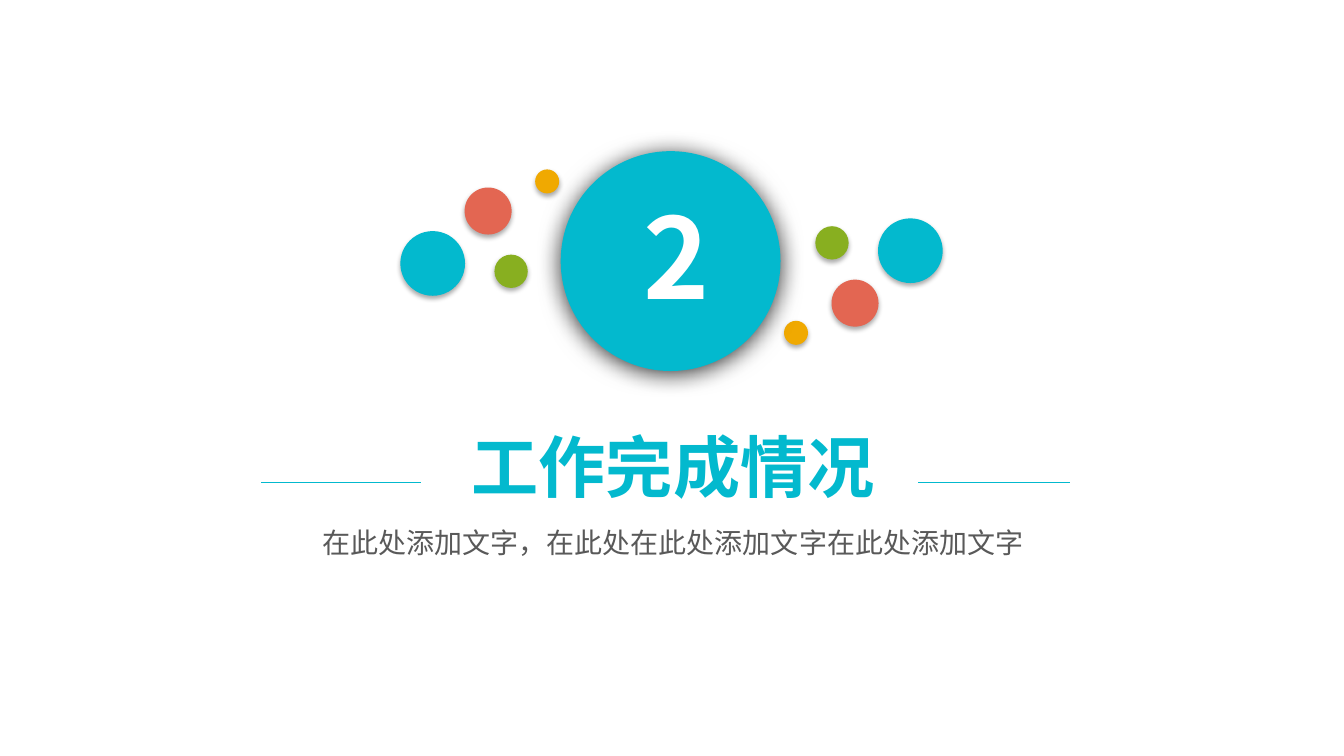
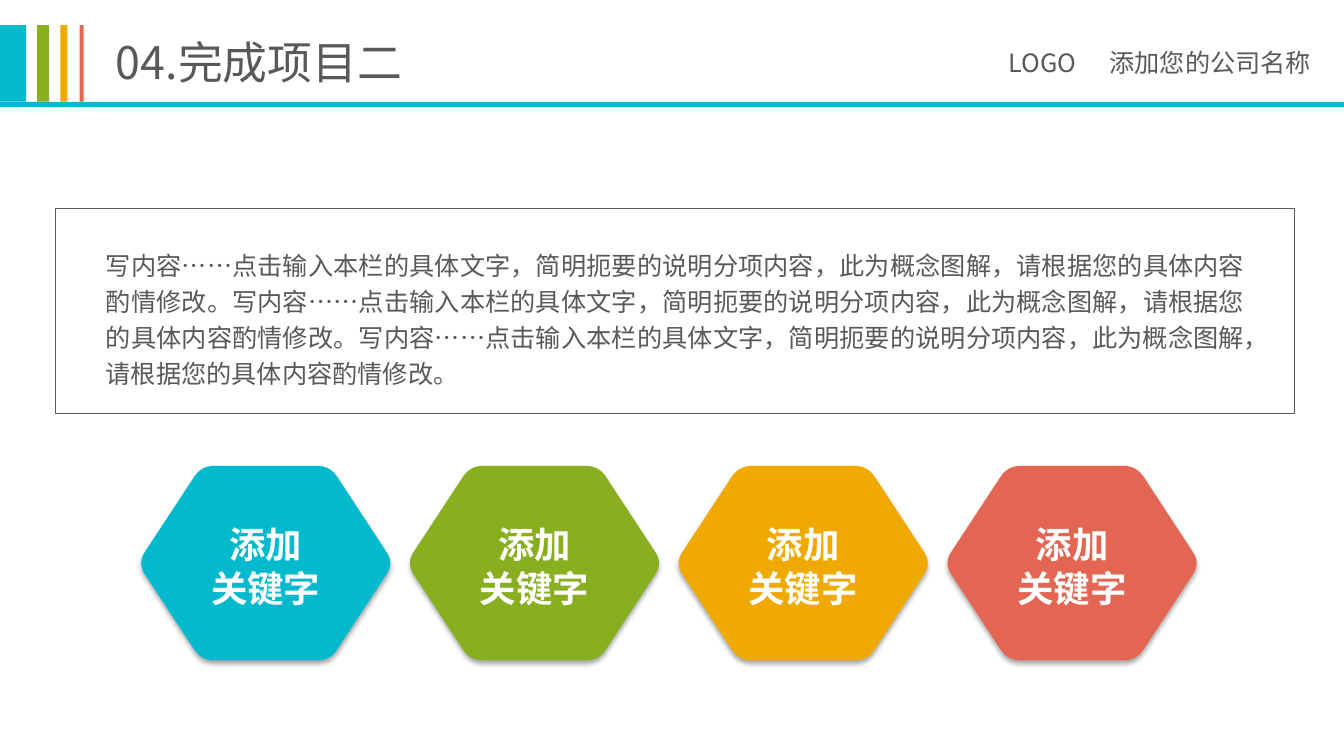
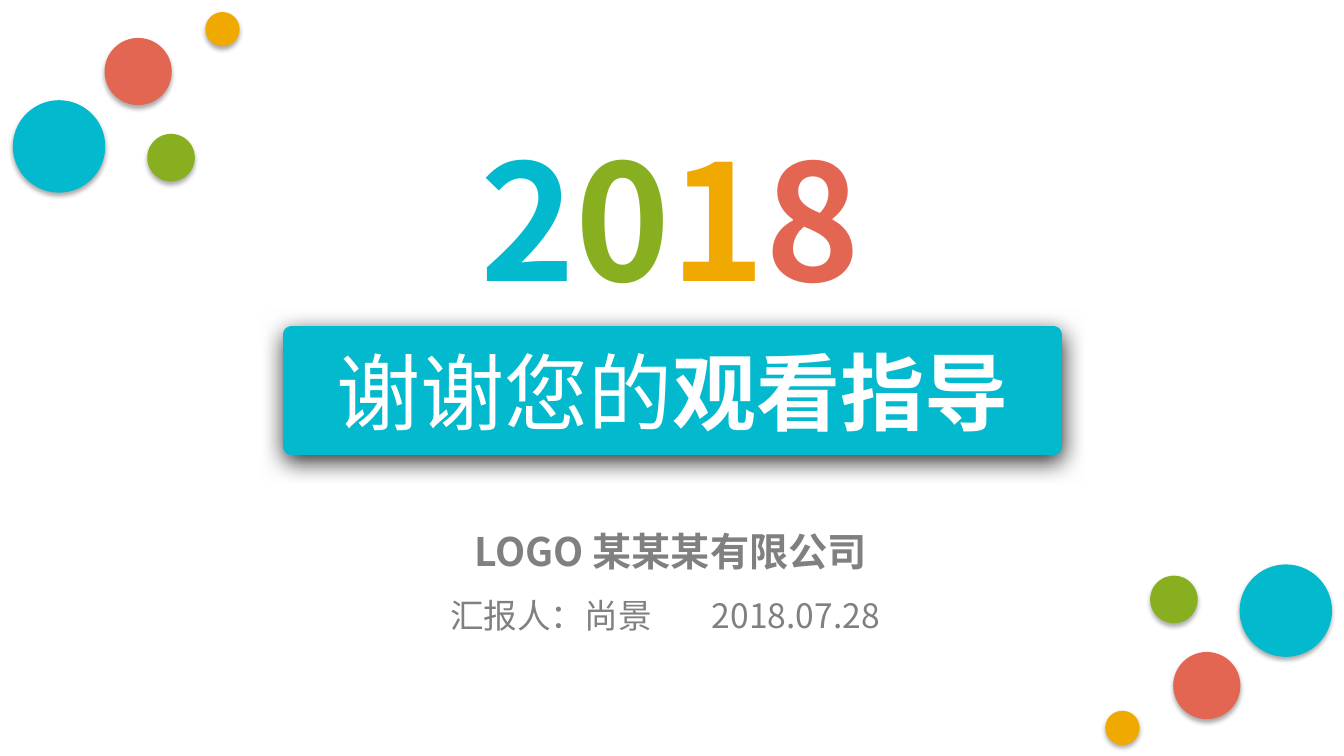
import pptx
import pptx.util
import pptx.dml.color
import pptx.enum.shapes
import pptx.enum.text
import pptx.oxml.ns
import lxml.etree

Pt = pptx.util.Pt
qn = pptx.oxml.ns.qn
SHAPE = pptx.enum.shapes.MSO_SHAPE
ALIGN = pptx.enum.text.PP_ALIGN
ANCHOR = pptx.enum.text.MSO_ANCHOR

FONT = "Noto Sans CJK SC"
TEAL, GREEN, AMBER, RED = PALETTE = ["03B9CE", "88AF20", "F0A901", "E36652"]
WHITE, DARK, GRAY = "FFFFFF", "595959", "808080"
SOFT_SHADOW = (32, 3.5, 2.2)

SECTION = {
    "number": "2",
    "title": "工作完成情况",
    "subtitle": "在此处添加文字，在此处在此处添加文字在此处添加文字",
}
PROJECT = {
    "title": "04.完成项目二",
    "company": "LOGO\t添加您的公司名称",
    "body": "写内容……点击输入本栏的具体文字，简明扼要的说明分项内容，"
            "此为概念图解，请根据您的具体内容酌情修改。" * 3,
    "keyword": "添加\n关键字",
}
CLOSING = {
    "year": "2018",
    "title": [("谢谢您的", WHITE, False), ("观看指导", WHITE, True)],
    "company": "LOGO 某某某有限公司",
    "reporter": "汇报人：尚景\t2018.07.28",
}

HEADER_BARS = [(0, 18.7), (26.6, 8.6), (43.2, 5), (56.9, 2.9)]
DOT_BOX = (162, 129)
DOTS = [(0, 63, 66), (96, 87, 34), (137.5, 0, 24.5), (65.5, 18.5, 48)]
HEXAGON = [(-3, 69.5), (42.6, 0), (134.4, 0), (180, 69.5), (134.4, 139), (42.6, 139)]
HEXAGON_CUT = 9.3
HEXAGON_PITCH = 192


def rgb(color):
    return pptx.dml.color.RGBColor.from_string(color)


def paint(sp, fill=None, line=None, width=1, shadow=None):
    if fill:
        sp.fill.solid()
        sp.fill.fore_color.rgb = rgb(fill)
    else:
        sp.fill.background()
    if line:
        sp.line.color.rgb = rgb(line)
        sp.line.width = Pt(width)
    else:
        sp.line.fill.background()
    sp.shadow.inherit = False
    if shadow:
        alpha, blur, dist = shadow
        effects = sp._element.spPr.find(qn("a:effectLst"))
        outer = lxml.etree.SubElement(
            effects, qn("a:outerShdw"), blurRad=str(Pt(blur)), dist=str(Pt(dist)),
            dir="5400000", algn="ctr", rotWithShape="0")
        tint = lxml.etree.SubElement(outer, qn("a:srgbClr"), val="000000")
        lxml.etree.SubElement(tint, qn("a:alpha"), val=str(alpha * 1000))


def shape(s, kind, x, y, w, h, **look):
    sp = s.shapes.add_shape(kind, Pt(x), Pt(y), Pt(w), Pt(h))
    paint(sp, **look)
    return sp


def style(r, size, color, bold):
    r.font.size = Pt(size)
    r.font.bold = bold
    r.font.color.rgb = rgb(color)
    r.font.name = FONT
    lxml.etree.SubElement(r._r.get_or_add_rPr(), qn("a:ea"), typeface=FONT)


def write(sp, text, size, color=DARK, bold=False, align=ALIGN.CENTER,
          anchor=ANCHOR.TOP, insets=(7.2, 3.6, 7.2, 3.6), spacing=None, tab=None):
    tf = sp.text_frame
    tf.word_wrap = True
    tf.auto_size = pptx.enum.text.MSO_AUTO_SIZE.NONE
    tf.vertical_anchor = anchor
    tf.margin_left, tf.margin_top, tf.margin_right, tf.margin_bottom = map(Pt, insets)
    if isinstance(text, str):
        tf.text = text
        for p in tf.paragraphs:
            for r in p.runs:
                style(r, size, color, bold)
    else:
        for part, part_color, part_bold in text:
            r = tf.paragraphs[0].add_run()
            r.text = part
            style(r, size, part_color, part_bold)
    for p in tf.paragraphs:
        p.alignment = align
        if spacing:
            p.line_spacing = spacing
        if tab:
            tabs = lxml.etree.SubElement(p._p.get_or_add_pPr(), qn("a:tabLst"))
            lxml.etree.SubElement(tabs, qn("a:tab"), pos=str(Pt(tab)), algn="l")


def textbox(s, x, y, w, h, text, size, **look):
    sp = s.shapes.add_textbox(Pt(x), Pt(y), Pt(w), Pt(h))
    write(sp, text, size, **look)


def title(s, x, y, w, h, text, size, **look):
    sp = s.shapes.title
    sp.left, sp.top, sp.width, sp.height = Pt(x), Pt(y), Pt(w), Pt(h)
    write(sp, text, size, **look)
    return sp


def rule(s, x1, x2, y):
    c = s.shapes.add_connector(pptx.enum.shapes.MSO_CONNECTOR.STRAIGHT,
                               Pt(x1), Pt(y), Pt(x2), Pt(y))
    c.line.color.rgb = rgb(TEAL)
    c.line.width = Pt(0.75)
    lxml.etree.SubElement(c._element.spPr, qn("a:effectLst"))


def dots(s, left, top, scale=1, turned=False):
    for (x, y, d), color in zip(DOTS, PALETTE):
        if turned:
            x, y = DOT_BOX[0] - x - d, DOT_BOX[1] - y - d
        shape(s, SHAPE.OVAL, left + x * scale, top + y * scale, d * scale, d * scale,
              fill=color, shadow=SOFT_SHADOW)


def toward(a, b, distance):
    dx, dy = b[0] - a[0], b[1] - a[1]
    k = distance / (dx * dx + dy * dy) ** 0.5
    return a[0] + dx * k, a[1] + dy * k


def rounded(corners, cut, steps=8):
    points = []
    for i, corner in enumerate(corners):
        start = toward(corner, corners[i - 1], cut)
        end = toward(corner, corners[(i + 1) % len(corners)], cut)
        for n in range(steps + 1):
            t = n / steps
            points.append(tuple((1 - t) ** 2 * a + 2 * t * (1 - t) * b + t * t * c
                                for a, b, c in zip(start, corner, end)))
    return points


def hexagon(s, left, top, color):
    points = [(Pt(left + x), Pt(top + y)) for x, y in rounded(HEXAGON, HEXAGON_CUT)]
    builder = s.shapes.build_freeform(*points[0])
    builder.add_line_segments(points[1:], close=True)
    sp = builder.convert_to_shape()
    paint(sp, fill=color, shadow=SOFT_SHADOW)
    return sp


def header(s, text, company):
    title(s, 75.6, 20.9, 368, 46, text, 32, align=ALIGN.LEFT)
    for (x, w), color in zip(HEADER_BARS, PALETTE):
        shape(s, SHAPE.RECTANGLE, x, 18, w, 54.7, fill=color)
    textbox(s, 713.5, 30.2, 246, 29, company, 18, align=ALIGN.LEFT, tab=72)
    shape(s, SHAPE.RECTANGLE, 0, 72.7, 960, 3.6, fill=TEAL)


def section_slide(s):
    dots(s, 286, 121, 0.7)
    dots(s, 560, 156, 0.7, turned=True)
    shape(s, SHAPE.OVAL, 400.5, 108, 157, 157, fill=TEAL, shadow=(80, 17, 2.2))
    textbox(s, 433, 130.3, 100, 104.4, SECTION["number"], 80, color=WHITE, bold=True)
    title(s, 278.6, 300.2, 404.6, 65.5, SECTION["title"], 48, color=TEAL, bold=True)
    textbox(s, 103.7, 371.5, 754, 31.7, SECTION["subtitle"], 20)
    rule(s, 186.5, 301, 345)
    rule(s, 656, 764.6, 345)


def project_slide(s):
    header(s, PROJECT["title"], PROJECT["company"])
    shape(s, SHAPE.RECTANGLE, 39.6, 148.5, 885, 147, line=DARK, width=0.25)
    textbox(s, 75.6, 174.2, 813.6, 104.4, PROJECT["body"], 18,
            align=ALIGN.JUSTIFY, insets=(0, 0, 0, 0), spacing=1.2)
    for i, color in enumerate(PALETTE):
        sp = hexagon(s, 101.3 + i * HEXAGON_PITCH, 332.8, color)
        write(sp, PROJECT["keyword"], 26, color=WHITE, bold=True,
              anchor=ANCHOR.MIDDLE, insets=(0, 4, 0, 0))


def closing_slide(s):
    sp = title(s, 208, 239, 544.3, 80, CLOSING["title"], 60, anchor=ANCHOR.MIDDLE)
    paint(sp, fill=TEAL, line=TEAL, width=12, shadow=(80, 17, 4))
    year = [(digit, color, True) for digit, color in zip(CLOSING["year"], PALETTE)]
    textbox(s, 319, 82.8, 320, 147, year, 115)
    textbox(s, 299, 373, 360, 41, CLOSING["company"], 28, color=GRAY, bold=True)
    textbox(s, 314.5, 421.2, 365, 36, CLOSING["reporter"], 24, color=GRAY,
            align=ALIGN.LEFT, tab=187)
    dots(s, 789.5, 403.2, turned=True)
    dots(s, 9.2, 8.6)


def main():
    prs = pptx.Presentation()
    prs.slide_width, prs.slide_height = Pt(960), Pt(540)
    for build in (section_slide, project_slide, closing_slide):
        build(prs.slides.add_slide(prs.slide_layouts[5]))
    prs.save("out.pptx")


if __name__ == "__main__":
    main()
